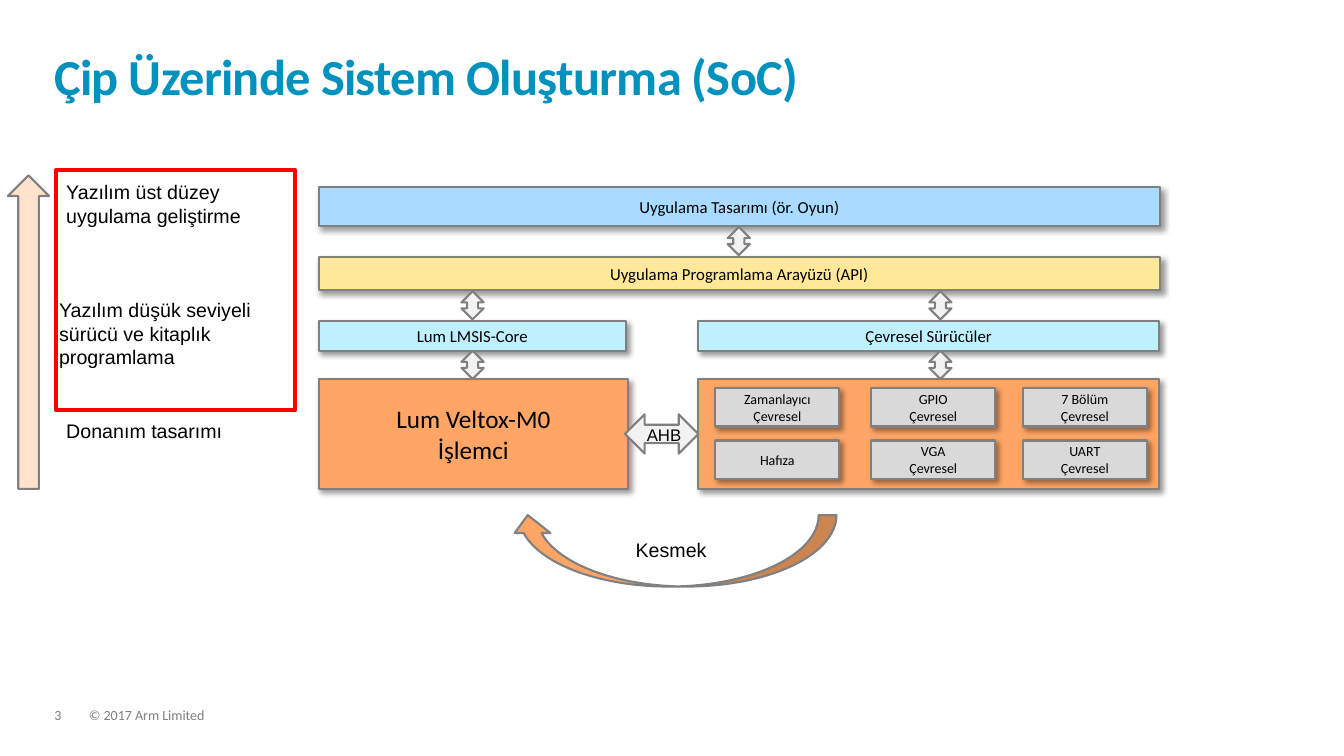
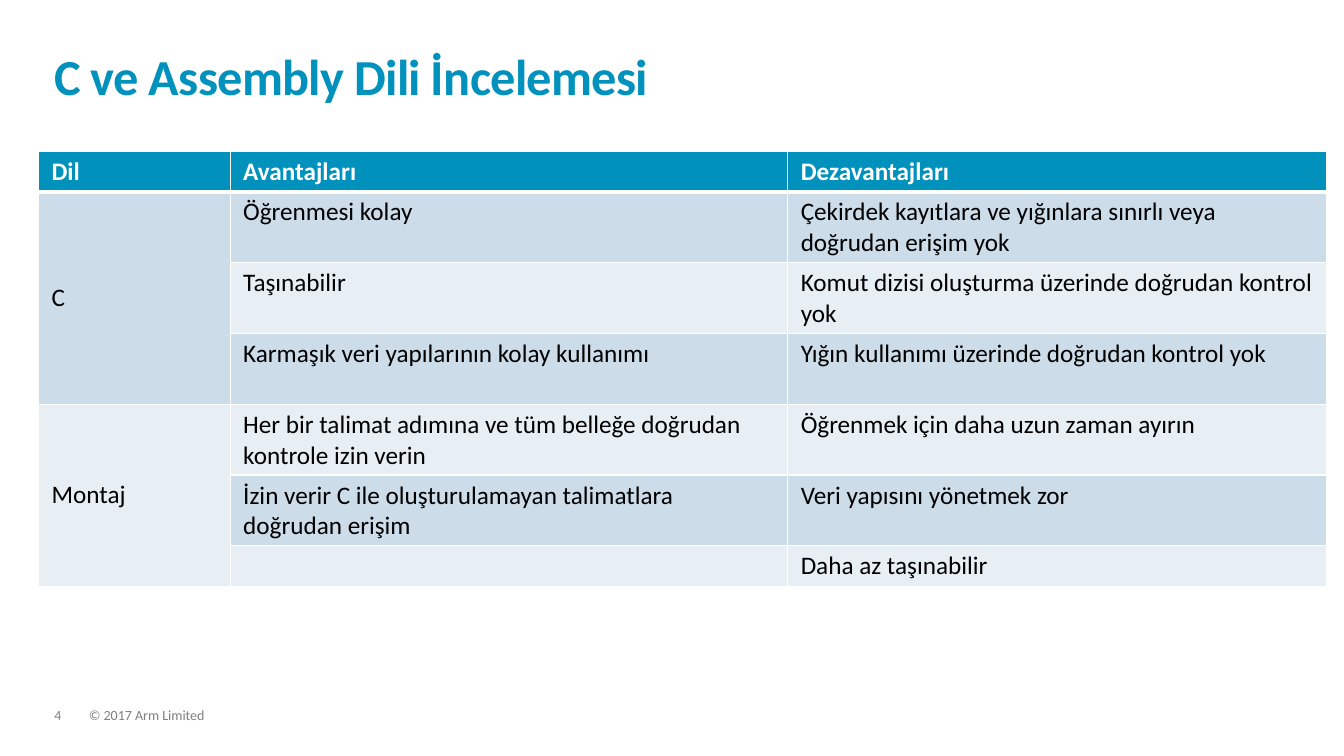
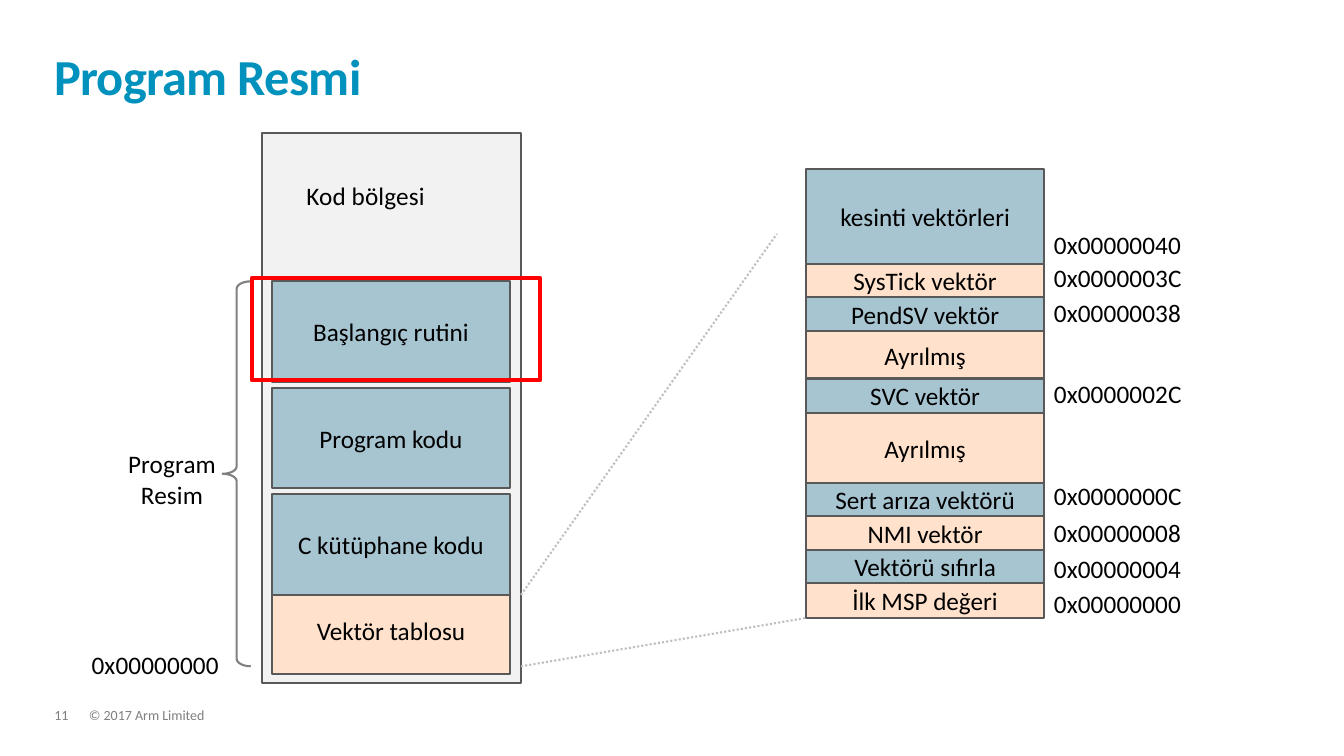
import pptx
import pptx.util
import pptx.dml.color
import pptx.enum.dml
import pptx.enum.shapes
import pptx.enum.text
import pptx.oxml.ns
from lxml import etree

Cm, Pt = pptx.util.Cm, pptx.util.Pt
SHAPE = pptx.enum.shapes.MSO_SHAPE
ALIGN = pptx.enum.text.PP_ALIGN
ANCHOR = pptx.enum.text.MSO_ANCHOR
qn = pptx.oxml.ns.qn

# Shared palette
TEAL, BLACK, WHITE, RED = "0091BD", "000000", "FFFFFF", "FF0000"
GREY, DARK_GREY, DOT_GREY = "808080", "595959", "BFBFBF"
FOOTER_GREY, PALE_GREY, CHIP_GREY = "7F7F7F", "F2F2F2", "D9D9D9"
ORANGE, PEACH, SLATE = "FFA666", "FFE1CC", "A7C4D1"
SKY, YELLOW, CYAN = "A8DBFF", "FFE999", "BFF0FF"
BANDS = ("CCDCE8", "E7EEF4")
COPYRIGHT = "© 2017 Arm Limited"

# Slide 1 content, lengths in cm: text, place, fill, text size
SOC_TITLE = "Çip Üzerinde Sistem Oluşturma (SoC)"
LAYERS = [
    ("", (17.6, 9.55, 11.61, 2.77), ORANGE, 12),
    ("Lum LMSIS-Core", (8.03, 8.1, 7.75, 0.74), CYAN, 12),
    ("Çevresel Sürücüler", (17.6, 8.1, 11.61, 0.74), CYAN, 12),
    ("Uygulama Programlama Arayüzü (API)", (8.03, 6.48, 21.21, 0.84), YELLOW, 12),
    ("Uygulama Tasarımı (ör. Oyun)", (8.03, 4.72, 21.21, 0.97), SKY, 12),
    ("Lum Veltox-M0\nİşlemci", (8.03, 9.55, 7.8, 2.77), ORANGE, 18),
]
PERIPHERALS = [
    ("Zamanlayıcı\nÇevresel", "GPIO\nÇevresel", "7 Bölüm\nÇevresel"),
    ("Hafıza", "VGA\nÇevresel", "UART\nÇevresel"),
]
PERIPHERAL_LEFTS, PERIPHERAL_TOPS = (18.03, 21.96, 25.78), (9.78, 11.1)
LINKS = [(18.34, 5.72), (11.63, 7.34), (11.63, 8.84), (23.42, 7.34), (23.42, 8.84)]
SOC_LABELS = [
    ("Donanım tasarımı", (1.42, 10.44, 6.2, 0.86), 14),
    ("Yazılım düşük seviyeli sürücü ve kitaplık programlama",
     (1.24, 7.39, 6.58, 1.45), 14),
    ("Yazılım üst düzey\nuygulama geliştirme", (1.42, 4.42, 7.67, 1.45), 14),
    ("AHB", (16.05, 10.59, 2.11, 0.76), 12),
    ("Kesmek", (15.77, 13.44, 3.84, 0.86), 14),
]

# Slide 2 content
LANGUAGE_TITLE = "C ve Assembly Dili İncelemesi"
LANGUAGE_ROWS = [
    ("Dil", "Avantajları", "Dezavantajları"),
    ("C", "Öğrenmesi kolay",
     "Çekirdek kayıtlara ve yığınlara sınırlı veya doğrudan erişim yok"),
    ("", "Taşınabilir", "Komut dizisi oluşturma üzerinde doğrudan kontrol yok"),
    ("", "Karmaşık veri yapılarının kolay kullanımı",
     "Yığın kullanımı üzerinde doğrudan kontrol yok"),
    ("Montaj", "Her bir talimat adımına ve tüm belleğe doğrudan kontrole izin verin",
     "Öğrenmek için daha uzun zaman ayırın"),
    ("", "İzin verir C ile oluşturulamayan talimatlara doğrudan erişim",
     "Veri yapısını yönetmek zor"),
    ("", "", "Daha az taşınabilir"),
]
COLUMN_WIDTHS = (4.83, 14.05, 13.59)
ROW_HEIGHTS = (1.02, 1.78, 1.78, 1.78, 1.78, 1.78, 1.02)
LANGUAGE_SPANS = [(1, 3), (4, 6)]

# Slide 3 content
IMAGE_TITLE = "Program Resmi"
PROGRAM_BLOCKS = ["Başlangıç rutini", "Program kodu", "C kütüphane kodu"]
VECTORS = [  # name, height, address, address top
    ("kesinti vektörleri", 2.38, "0x00000040", 5.66),
    ("SysTick vektör", 0.83, "0x0000003C", 6.48),
    ("PendSV vektör", 0.87, "0x00000038", 7.37),
    ("Ayrılmış", 1.19, None, None),
    ("SVC vektör", 0.87, "0x0000002C", 9.42),
    ("Ayrılmış", 1.76, None, None),
    ("Sert arıza vektörü", 0.84, "0x0000000C", 11.99),
    ("NMI vektör", 0.84, "0x00000008", 12.9),
    ("Vektörü sıfırla", 0.84, "0x00000004", 13.82),
    ("İlk MSP değeri", 0.88, "0x00000000", 14.71),
]
IMAGE_LABELS = [
    ("0x00000000", (2.06, 16.23, 4.55, 1.02), None),
    ("Kod bölgesi", (7.47, 4.42, 4.83, 1.02), None),
    ("Program\nResim", (2.34, 11.18, 3.99, 1.8), ALIGN.CENTER),
]
ZOOM_LINES = [(13.13, 14.99, 19.58, 5.89), (13.13, 16.79, 20.32, 15.57)]


def rgb(value):
    return pptx.dml.color.RGBColor.from_string(value)


def write(frame, text, size, colour=BLACK, font="Calibri", bold=False,
          align=None, tracking=None, leading=None, after=None):
    """Fill a text frame and format every run in it."""
    frame.text = text
    for paragraph in frame.paragraphs:
        paragraph.alignment = align
        paragraph.line_spacing = leading
        paragraph.space_after = after
        for run in paragraph.runs:
            run.font.name, run.font.size, run.font.bold = font, Pt(size), bold
            run.font.color.rgb = rgb(colour)
            if tracking:
                run.font._element.set("spc", str(tracking))


def add_label(slide, place, text, size, inset=True, anchor=ANCHOR.TOP, **style):
    frame = slide.shapes.add_textbox(*map(Cm, place)).text_frame
    frame.word_wrap = True
    frame.vertical_anchor = anchor
    if not inset:
        frame.margin_left = frame.margin_right = 0
        frame.margin_top = frame.margin_bottom = 0
    write(frame, text, size, **style)


def add_box(slide, place, fill, line=GREY, width=1.5, preset=SHAPE.RECTANGLE,
            text="", size=18, shadow=False, turn=0, adjust=()):
    shape = slide.shapes.add_shape(preset, *map(Cm, place))
    shape.rotation = turn
    for index, value in enumerate(adjust):
        shape.adjustments[index] = value
    if fill:
        shape.fill.solid()
        shape.fill.fore_color.rgb = rgb(fill)
    else:
        shape.fill.background()
    shape.line.color.rgb = rgb(line)
    shape.line.width = Pt(width)
    shape.shadow.inherit = False
    if shadow:
        effects = shape.element.spPr.find(qn("a:effectLst"))
        outer = etree.SubElement(
            effects, qn("a:outerShdw"), blurRad=str(Pt(4)), dist=str(Pt(3)),
            dir="2700000", algn="tl", rotWithShape="0")
        tint = etree.SubElement(outer, qn("a:srgbClr"), val=BLACK)
        etree.SubElement(tint, qn("a:alpha"), val="40000")
    if text:
        shape.text_frame.word_wrap = False
        shape.text_frame.vertical_anchor = ANCHOR.MIDDLE
        write(shape.text_frame, text, size, align=ALIGN.CENTER)


def add_dotted_line(slide, ends):
    line = slide.shapes.add_connector(
        pptx.enum.shapes.MSO_CONNECTOR.STRAIGHT, *map(Cm, ends))
    line.line.color.rgb = rgb(DOT_GREY)
    line.line.width = Pt(1.5)
    line.line.dash_style = pptx.enum.dml.MSO_LINE.ROUND_DOT
    etree.SubElement(line.element.spPr, qn("a:effectLst"))


def add_slide(deck, title, number):
    """New slide with the shared title and footer."""
    slide = deck.slides.add_slide(deck.slide_layouts[6])
    for text, left, width in ((COPYRIGHT, 2.24, 23.19), (str(number), 1.37, 0.86)):
        add_label(slide, (left, 17.86, width, 0.38), text, 10, inset=False,
                  colour=FOOTER_GREY, leading=0.9, after=Pt(6))
    add_label(slide, (1.37, 0.81, 31.06, 1.85), title, 36, inset=False,
              anchor=ANCHOR.BOTTOM, colour=TEAL, bold=True, tracking=-50, leading=0.85)
    return slide


def build_soc(deck):
    slide = add_slide(deck, SOC_TITLE, 3)
    # Layers and peripherals
    for text, place, fill, size in LAYERS:
        add_box(slide, place, fill, text=text, size=size, shadow=True)
    for top, names in zip(PERIPHERAL_TOPS, PERIPHERALS):
        for left, name in zip(PERIPHERAL_LEFTS, names):
            add_box(slide, (left, top, 3.12, 0.97), CHIP_GREY, text=name,
                    size=10, shadow=True)
    # Arrows
    for left, top in LINKS:
        add_box(slide, (left, top, 0.56, 0.71), PALE_GREY, preset=SHAPE.UP_DOWN_ARROW)
    add_box(slide, (16.18, 10.01, 0.99, 1.85), PALE_GREY, turn=90,
            preset=SHAPE.UP_DOWN_ARROW, adjust=(0.573, 0.468))
    add_box(slide, (0.2, 4.42, 1.04, 7.9), PEACH, preset=SHAPE.UP_ARROW)
    add_box(slide, (12.85, 12.98, 8.23, 1.8), ORANGE, turn=180,
            preset=SHAPE.CURVED_DOWN_ARROW)
    # Labels and software frame
    for text, place, size in SOC_LABELS:
        add_label(slide, place, text, size, font="Arial")
    add_box(slide, (1.42, 4.29, 6.02, 6.05), None, RED, 3)


def add_borders(cell, widths):
    for side, points in widths.items():
        edge = etree.SubElement(cell._tc.get_or_add_tcPr(), qn("a:ln" + side),
                                w=str(Pt(points)))
        paint = etree.SubElement(edge, qn("a:solidFill"))
        etree.SubElement(paint, qn("a:srgbClr"), val=WHITE)


def build_languages(deck):
    slide = add_slide(deck, LANGUAGE_TITLE, 4)
    languages = slide.shapes.add_table(
        len(ROW_HEIGHTS), len(COLUMN_WIDTHS), Cm(0.97), Cm(3.81),
        Cm(sum(COLUMN_WIDTHS)), Cm(sum(ROW_HEIGHTS))).table
    for column, width in zip(languages.columns, COLUMN_WIDTHS):
        column.width = Cm(width)
    for row, height in zip(languages.rows, ROW_HEIGHTS):
        row.height = Cm(height)
    for r, texts in enumerate(LANGUAGE_ROWS):
        header = r == 0
        for c, text in enumerate(texts):
            cell = languages.cell(r, c)
            add_borders(cell, {"L": 1, "R": 1, "T": 3 if r == 1 else 1,
                               "B": 3 if header else 1})
            band = next((first for first, last in LANGUAGE_SPANS
                         if c == 0 and first <= r <= last), r)
            cell.fill.solid()
            cell.fill.fore_color.rgb = rgb(TEAL if header else BANDS[(band - 1) % 2])
            cell.margin_left = cell.margin_right = Cm(0.33)
            cell.margin_top = cell.margin_bottom = Cm(0.13)
            if text:
                write(cell.text_frame, text, 18, WHITE if header else BLACK, bold=header)
    for first, last in LANGUAGE_SPANS:
        languages.cell(first, 0).merge(languages.cell(last, 0))
        languages.cell(first, 0).vertical_anchor = ANCHOR.MIDDLE


def build_image(deck):
    slide = add_slide(deck, IMAGE_TITLE, 11)
    # Code region
    add_box(slide, (6.6, 3.35, 6.53, 13.87), PALE_GREY, DARK_GREY)
    add_box(slide, (6.86, 14.78, 5.99, 2.21), PEACH, DARK_GREY, text="Vektör tablosu")
    for index, name in enumerate(PROGRAM_BLOCKS):
        add_box(slide, (6.86, 7.09 + index * 2.68, 5.99, 2.54), SLATE, DARK_GREY,
                text=name)
    add_box(slide, (5.61, 7.09, 0.71, 9.7), None, preset=SHAPE.LEFT_BRACE,
            adjust=(0.264, 0.5))
    for text, place, align in IMAGE_LABELS:
        add_label(slide, place, text, 18, align=align, tracking=10)
    for ends in ZOOM_LINES:
        add_dotted_line(slide, ends)
    # Vector table, stacked downwards
    top = 4.27
    for index, (name, height, address, address_top) in enumerate(VECTORS):
        add_box(slide, (20.32, top, 5.99, height), (SLATE, PEACH)[index % 2],
                DARK_GREY, text=name)
        if address:
            add_label(slide, (26.31, address_top, 4.75, 1.02), address, 18, tracking=10)
        top += height
    # Startup routine highlight
    add_box(slide, (6.35, 7.01, 7.26, 2.57), None, RED, 3)


def main():
    deck = pptx.Presentation()
    deck.slide_width, deck.slide_height = Cm(33.87), Cm(19.05)
    build_soc(deck)
    build_languages(deck)
    build_image(deck)
    deck.save("out.pptx")


if __name__ == "__main__":
    main()
